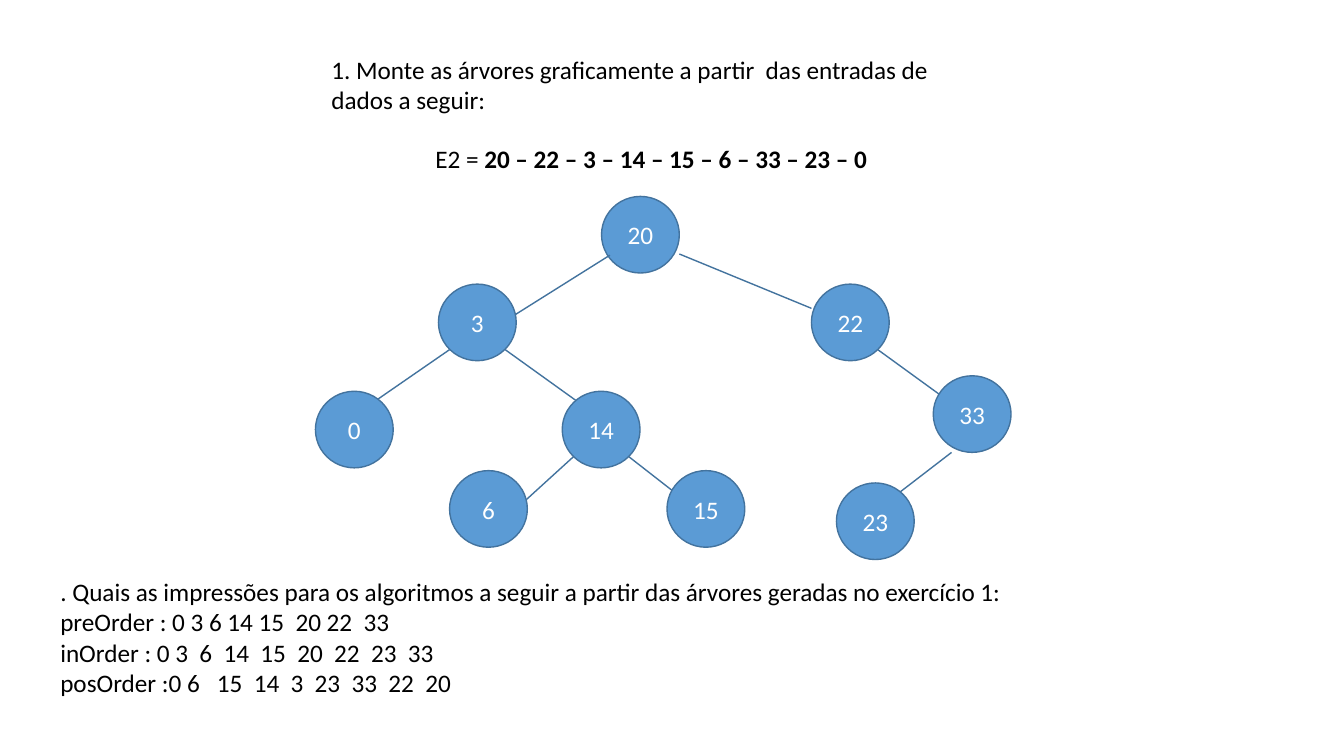
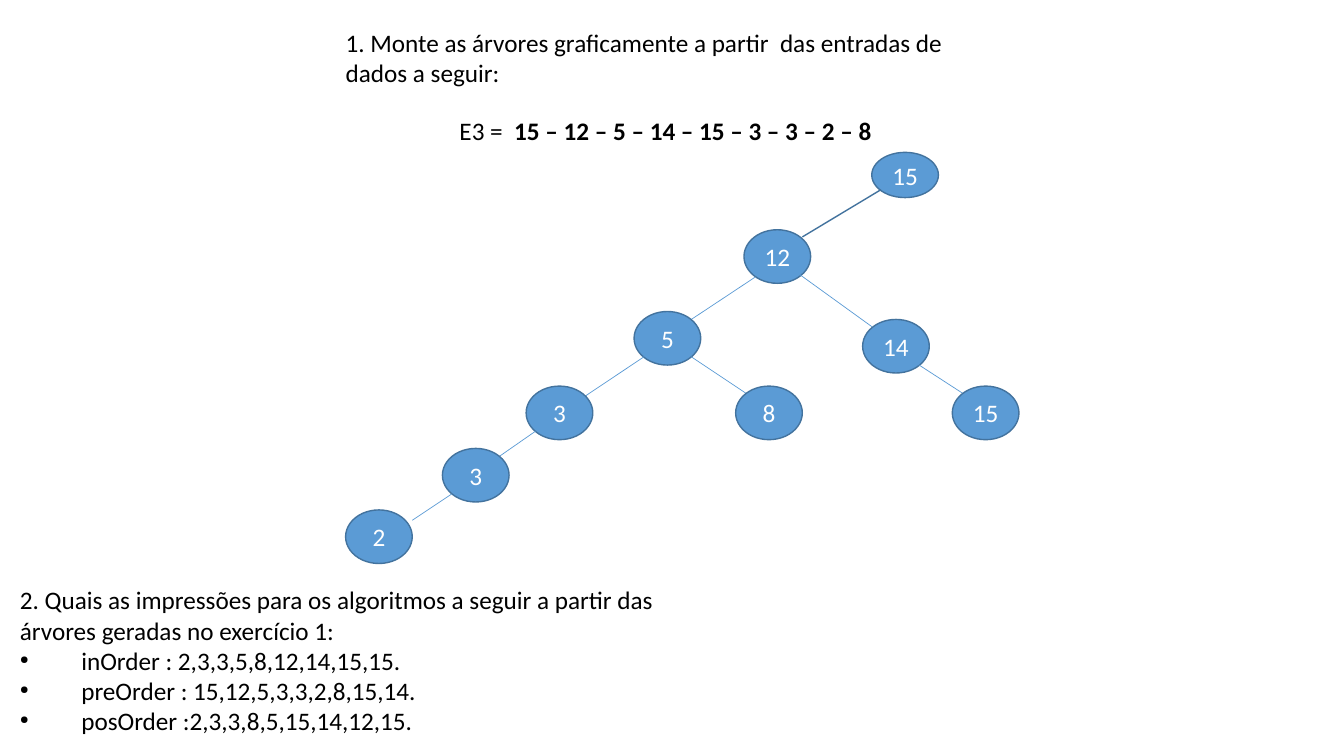
"""Build two slides that show binary search trees with their traversals."""
from dataclasses import dataclass
from typing import Any, Optional

from lxml.etree import SubElement
from pptx import Presentation
from pptx.dml.color import RGBColor
from pptx.enum.shapes import MSO_CONNECTOR as Connector, MSO_SHAPE as Shape
from pptx.enum.text import MSO_ANCHOR as Anchor, MSO_AUTO_SIZE as AutoSize, PP_ALIGN as Align
from pptx.oxml.ns import qn
from pptx.slide import Slide
from pptx.util import Cm, Pt

NODE_BLUE, EDGE_BLUE, INK, PAPER = "5B9BD5", "43739E", "000000", "FFFFFF"
FONT = {"name": "Calibri", "size": Pt(18)}
GROWING = {"word_wrap": True, "auto_size": AutoSize.SHAPE_TO_FIT_TEXT}
ONE_LINE = GROWING | {"word_wrap": False}
CENTRED = {"word_wrap": True, "vertical_anchor": Anchor.MIDDLE}
BULLET_INDENT = Cm(1.55)
PROMPT = "1. Monte as árvores graficamente a partir  das entradas de dados a seguir:"

Point = tuple[float, float]
Box = tuple[float, float, float, float]


@dataclass(frozen=True)
class Stroke:
    colour: str
    weight: float


STRONG = Stroke(EDGE_BLUE, 1)
THIN = Stroke(NODE_BLUE, 0.5)


@dataclass(frozen=True)
class Branch:
    start: Point
    end: Point
    stroke: Stroke = STRONG


@dataclass(frozen=True)
class Node:
    key: int
    corner: Point
    size: Point
    branch: Optional[Branch] = None


@dataclass(frozen=True)
class Exercise:
    prompt_corner: Point
    entry_box: Box
    entry_label: str
    entry_keys: list[int]
    nodes: list[Node]
    answer_box: Box
    question: str
    traversals: list[str]
    bulleted: bool


def colour(code: str) -> RGBColor:
    """Turn a hex string into a colour."""
    return RGBColor.from_string(code)


def apply(target: Any, values: dict[str, Any]) -> None:
    """Set every format value on the target."""
    for attribute, value in values.items():
        setattr(target, attribute, value)


def write(paragraph: Any, wording: str, ink: str = INK, bold: bool = False) -> None:
    """Add one formatted run to the paragraph."""
    run = paragraph.add_run()
    run.text = wording
    apply(run.font, FONT | {"bold": bold})
    run.font.color.rgb = colour(ink)


def add_frame(slide: Slide, box: Box, layout: dict[str, Any]) -> Any:
    """Add a text box and return its text frame."""
    frame = slide.shapes.add_textbox(*map(Cm, box)).text_frame
    apply(frame, layout)
    return frame


def add_bullet(paragraph: Any) -> None:
    """Give the paragraph a small round bullet with a hanging indent."""
    properties = paragraph._p.get_or_add_pPr()
    properties.set("marL", str(BULLET_INDENT))
    properties.set("indent", str(-BULLET_INDENT))
    SubElement(properties, qn("a:buSzPct"), val="45000")
    SubElement(properties, qn("a:buChar"), char="●")


def draw_branch(slide: Slide, branch: Branch) -> None:
    """Draw the line from a parent to its child."""
    line = slide.shapes.add_connector(Connector.STRAIGHT, *map(Cm, branch.start + branch.end))
    line.line.color.rgb = colour(branch.stroke.colour)
    line.line.width = Pt(branch.stroke.weight)
    SubElement(line._element.spPr, qn("a:effectLst"))


def draw_node(slide: Slide, node: Node) -> None:
    """Draw a tree node over the branch that leads to it."""
    if node.branch:
        draw_branch(slide, node.branch)
    circle = slide.shapes.add_shape(Shape.OVAL, *map(Cm, node.corner + node.size))
    circle.shadow.inherit = False
    circle.fill.solid()
    circle.fill.fore_color.rgb = colour(NODE_BLUE)
    circle.line.color.rgb = colour(EDGE_BLUE)
    circle.line.width = Pt(1)
    apply(circle.text_frame, CENTRED)
    paragraph = circle.text_frame.paragraphs[0]
    paragraph.alignment = Align.CENTER
    write(paragraph, str(node.key), PAPER)


def draw_exercise(slide: Slide, exercise: Exercise) -> None:
    """Draw the prompt, the entry, the tree and the answers."""
    prompt = add_frame(slide, exercise.prompt_corner + (16.94, 1.8), GROWING)
    write(prompt.paragraphs[0], PROMPT)
    entry = add_frame(slide, exercise.entry_box, ONE_LINE).paragraphs[0]
    write(entry, exercise.entry_label)
    write(entry, " – ".join(map(str, exercise.entry_keys)) + " ", bold=True)
    for node in exercise.nodes:
        draw_node(slide, node)
    answer = add_frame(slide, exercise.answer_box, GROWING)
    write(answer.paragraphs[0], exercise.question)
    for traversal in exercise.traversals:
        paragraph = answer.add_paragraph()
        if exercise.bulleted:
            add_bullet(paragraph)
        write(paragraph, traversal)


ROUND, OVAL, FLAT = (1.96, 1.93), (1.68, 1.35), (1.68, 1.14)

EXERCISES = [
    Exercise(
        prompt_corner=(8.1, 1.24),
        entry_box=(10.72, 3.48, 11.71, 1.02),
        entry_label="E2 = ",
        entry_keys=[20, 22, 3, 14, 15, 6, 33, 23, 0],
        nodes=[
            Node(20, (15.16, 4.95), ROUND),
            Node(22, (20.45, 7.16), ROUND, Branch((17.12, 6.4), (20.45, 7.77))),
            Node(3, (11.05, 7.16), ROUND, Branch((15.37, 6.43), (12.95, 7.95))),
            Node(14, (14.17, 9.86), ROUND, Branch((12.73, 8.81), (14.61, 10.16))),
            Node(15, (16.81, 11.86), ROUND, Branch((15.85, 11.51), (17.12, 12.5))),
            Node(6, (11.33, 11.86), ROUND, Branch((14.45, 11.51), (13, 12.83))),
            Node(33, (23.52, 9.47), ROUND, Branch((22.12, 8.81), (23.98, 10.16))),
            Node(23, (21.08, 12.17), ROUND, Branch((23.98, 11.4), (22.12, 12.83))),
            Node(0, (7.95, 9.86), ROUND, Branch((11.33, 8.81), (8.97, 10.44))),
        ],
        answer_box=(1.27, 14.4, 26.04, 4.88),
        question=". Quais as impressões para os algoritmos a seguir a partir das"
                 "\u00a0árvores geradas no exercício 1:",
        traversals=[
            "preOrder\u00a0: 0\u00a03 6 14 15\u00a0 20 22\u00a0 33",
            "inOrder\u00a0:\u00a00 3\u00a0 6\u00a0 14\u00a0\u00a015\u00a0 20\u00a0 22\u00a0 23\u00a0\u00a033",
            "posOrder\u00a0:0 6\u00a0\u00a0\u00a015\u00a0 14\u00a0\u00a03\u00a0\u00a023"
            "\u00a0\u00a033\u00a0\u00a022\u00a0 20",
        ],
        bulleted=False,
    ),
    Exercise(
        prompt_corner=(8.46, 0.56),
        entry_box=(11.33, 2.79, 11.2, 1.02),
        entry_label="E3 =  ",
        entry_keys=[15, 12, 5, 14, 15, 3, 3, 2, 8],
        nodes=[
            Node(15, (21.97, 3.84), FLAT),
            Node(12, (18.75, 5.79), OVAL, Branch((22.2, 4.78), (20.22, 5.97))),
            Node(5, (15.98, 7.85), OVAL, Branch((19.02, 6.99), (17.42, 8.05), THIN)),
            Node(14, (21.74, 8.05), OVAL, Branch((20.17, 6.93), (21.97, 8.23), THIN)),
            Node(15, (24, 9.73), OVAL, Branch((22.81, 8.97), (24.26, 9.91), THIN)),
            Node(3, (13.26, 9.73), OVAL, Branch((16.23, 8.99), (14.63, 10.06), THIN)),
            Node(3, (11.15, 11.3), OVAL, Branch((13.49, 10.87), (12.57, 11.51), THIN)),
            Node(2, (8.71, 12.85), OVAL, Branch((11.38, 12.45), (10.39, 13.11), THIN)),
            Node(8, (18.54, 9.73), OVAL, Branch((17.42, 8.99), (18.8, 9.91), THIN)),
        ],
        answer_box=(0.25, 14.61, 16.94, 4.11),
        question="2. Quais as impressões para os algoritmos a seguir a partir das "
                 "árvores geradas no exercício 1:",
        traversals=[
            "inOrder : 2,3,3,5,8,12,14,15,15.",
            "preOrder : 15,12,5,3,3,2,8,15,14.",
            "posOrder :2,3,3,8,5,15,14,12,15.",
        ],
        bulleted=True,
    ),
]


def main() -> None:
    """Build and save the presentation."""
    presentation = Presentation()
    apply(presentation, {"slide_width": Cm(33.87), "slide_height": Cm(19.05)})
    blank = presentation.slide_layouts[6]
    for exercise in EXERCISES:
        draw_exercise(presentation.slides.add_slide(blank), exercise)
    presentation.save("out.pptx")


main()
